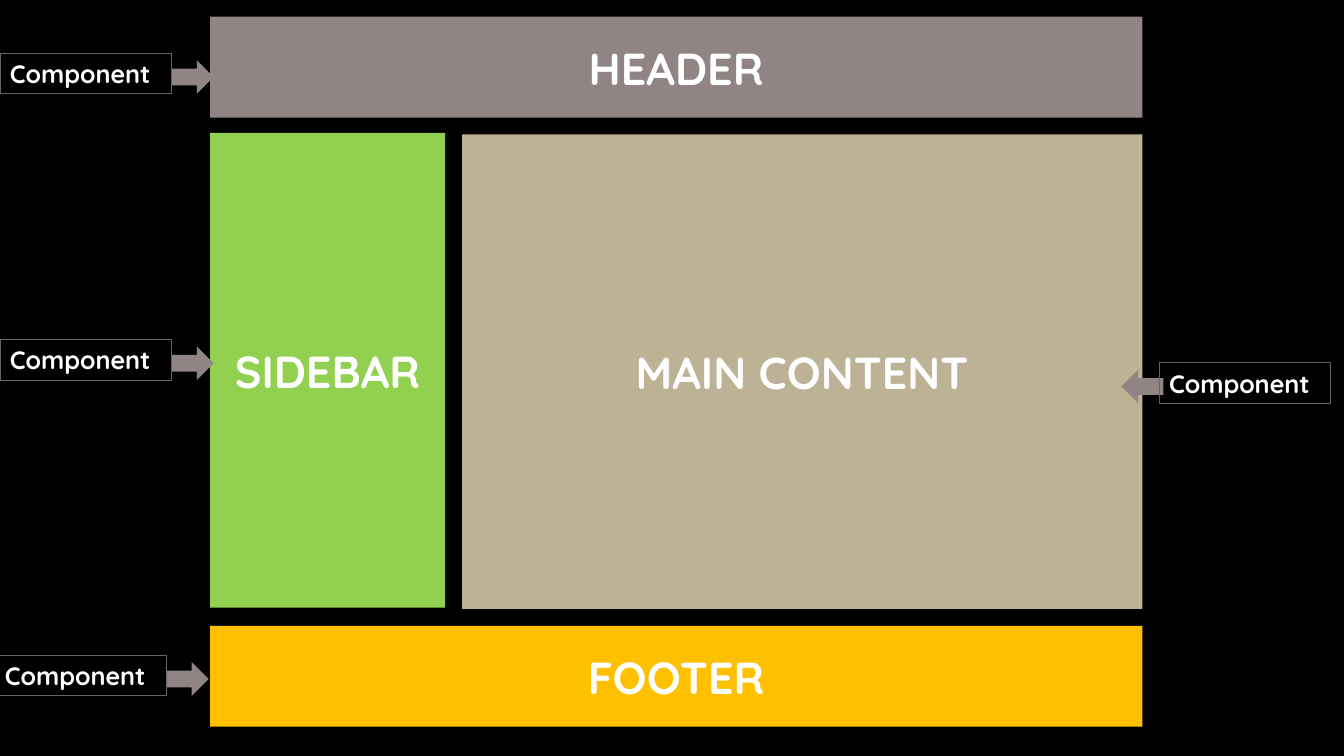
from pptx import Presentation
from pptx.dml.color import RGBColor as Rgb
from pptx.enum.shapes import MSO_SHAPE as Kind
from pptx.enum.text import MSO_ANCHOR as Anchor, PP_ALIGN as Align
from pptx.util import Pt

COLORS = {
    "back": "000000",
    "text": "FFFFFF",
    "edge": "696464",
    "gray": "918485",
    "gold": "FFC000",
    "sand": "BDB196",
    "green": "92D050",
}


def add_box(kind, left, top, width, height, fill=None):
    """Add a shape with a plain fill, or with a thin outline if no fill is given."""
    box = slide.shapes.add_shape(kind, Pt(left), Pt(top), Pt(width), Pt(height))
    box.shadow.inherit = False
    if fill:
        box.fill.solid()
        box.fill.fore_color.rgb = Rgb.from_string(COLORS[fill])
        box.line.fill.background()
    else:
        box.fill.background()
        box.line.color.rgb = Rgb.from_string(COLORS["edge"])
        box.line.width = Pt(0.75)
    return box


def write(box, text, size, align):
    frame = box.text_frame
    frame.word_wrap = True
    frame.vertical_anchor = Anchor.MIDDLE
    para = frame.paragraphs[0]
    para.text = text
    para.alignment = align
    para.font.name = "Quicksand"
    para.font.size = Pt(size)
    para.font.bold = True
    para.font.color.rgb = Rgb.from_string(COLORS["text"])


deck = Presentation()
deck.slide_width, deck.slide_height = Pt(960), Pt(540)
slide = deck.slides.add_slide(deck.slide_layouts[6])
slide.background.fill.solid()
slide.background.fill.fore_color.rgb = Rgb.from_string(COLORS["back"])

# Page regions: text, left, top, width, height, fill
regions = [
    ("HEADER", 150, 12, 666, 72, "gray"),
    ("FOOTER", 150, 447, 666, 72, "gold"),
    ("MAIN CONTENT", 330, 96, 486, 339, "sand"),
    ("SIDEBAR", 150, 95, 168, 339, "green"),
]
for text, left, top, width, height, fill in regions:
    region = add_box(Kind.RECTANGLE, left, top, width, height, fill)
    write(region, text, 32, Align.CENTER)

# Labels, each with an arrow to its region: label left, top, arrow left, turn
label_w, label_h = 122.6, 29.1
arrow_w, arrow_h, drop = 30, 24, 5
labels = [
    (0, 38, label_w, 0),
    (0, 242.5, label_w, 0),
    (-3.6, 468, label_w - 3.6, 0),
    (828, 259, 801, 180),
]
for left, top, tail, turn in labels:
    arrow = add_box(Kind.RIGHT_ARROW, tail, top + drop, arrow_w, arrow_h, "gray")
    arrow.rotation = turn
    label = add_box(Kind.RECTANGLE, left, top, label_w, label_h)
    write(label, "Component", 18, Align.LEFT)

deck.save("out.pptx")
